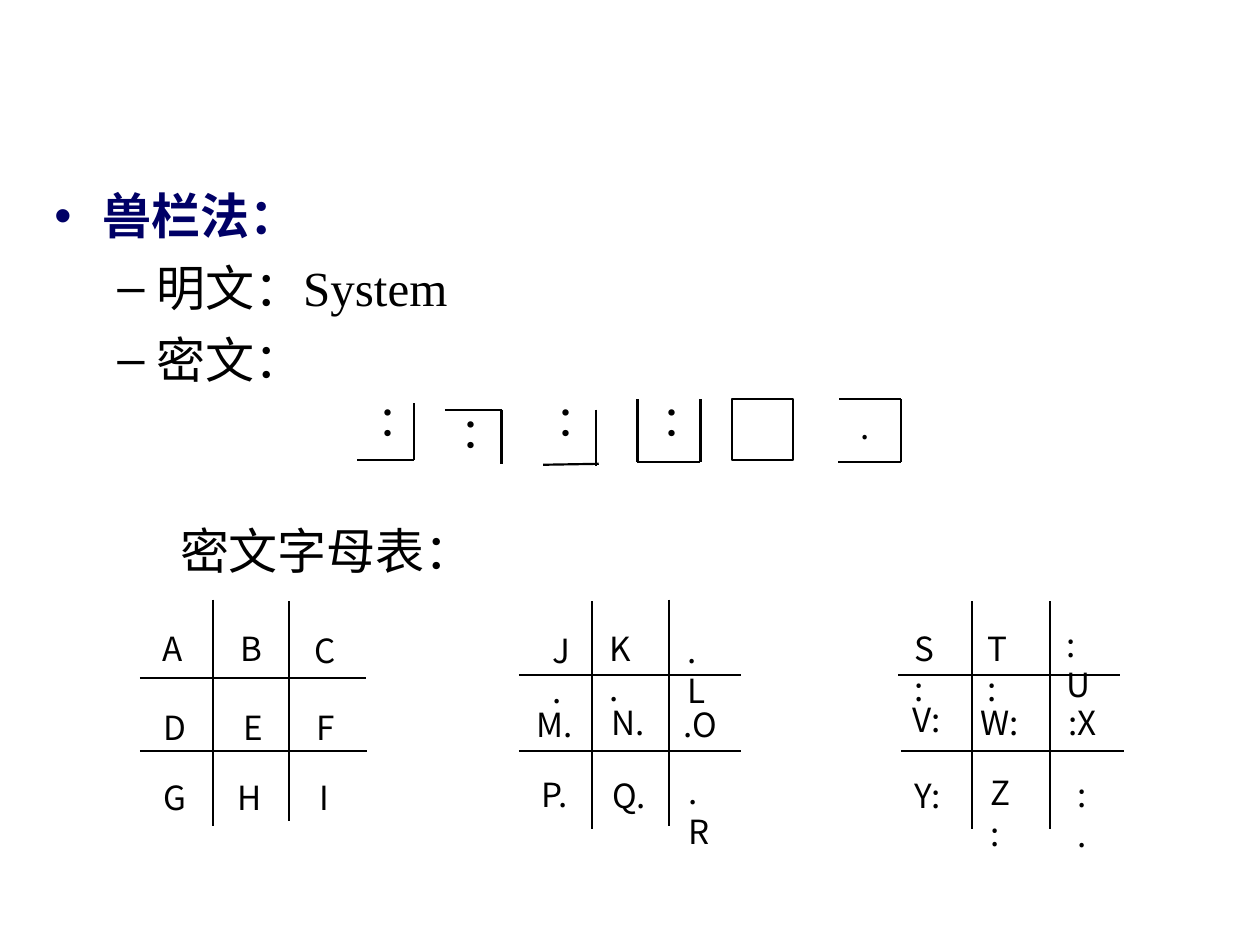
from itertools import pairwise

from lxml.etree import SubElement
from pptx import Presentation
from pptx.dml.color import RGBColor
from pptx.enum.shapes import MSO_CONNECTOR, MSO_SHAPE
from pptx.enum.text import MSO_AUTO_SIZE
from pptx.oxml.ns import qn
from pptx.util import Cm, Pt

COLORS = {"ink": "000000", "heading": "000066"}
SERIF, SANS = "Times New Roman", "Noto Sans CJK SC"
LINE_HEIGHT = 1.21

OUTLINE = [
    ("兽栏法：", 0, "heading", True, 0.97, 0),
    ("明文：System", 1, "ink", False, 2.06, 7),
    ("密文：", 1, "ink", False, 2.06, 7),
]
OUTLINE_INDENTS = (-0.97, -0.79)

PENS = [
    {
        "rows": [(2.82, 7.37, 13.67), (2.82, 7.39, 15.14)],
        "columns": [(4.29, 12.09, 16.66), (5.82, 12.12, 16.56)],
        "letters": [
            ("A", 3.28, 12.65, 0.43), ("B", 4.85, 12.65, 0.43), ("C", 6.35, 12.7, 0.43),
            ("D", 3.3, 14.25, 0.48), ("E", 4.9, 14.25, 0.38), ("F", 6.38, 14.25, 0.36),
            ("G", 3.3, 15.67, 0.48), ("H", 4.78, 15.67, 0.51), ("I", 6.45, 15.67, 0.23),
        ],
    },
    {
        "rows": [(10.46, 14.94, 13.61), (10.46, 14.94, 15.14)],
        "columns": [(11.94, 12.12, 16.71), (13.49, 12.09, 16.66)],
        "letters": [
            ("J.", 11.13, 12.7, 0.36), ("K.", 12.29, 12.65, 0.58), (".L", 13.87, 12.7, 0.53),
            ("M.", 10.82, 14.2, 0.79), ("N.", 12.32, 14.15, 0.69), (".O", 13.77, 14.2, 0.71),
            ("P.", 10.92, 15.6, 0.58), ("Q.", 12.34, 15.62, 0.71), (".R", 13.89, 15.54, 0.58),
        ],
    },
    {
        "rows": [(18.11, 22.58, 13.61), (18.16, 22.66, 15.14)],
        "columns": [(19.6, 12.12, 16.71), (21.17, 12.12, 16.71)],
        "letters": [
            ("S:", 18.44, 12.65, 0.56), ("T:", 19.91, 12.65, 0.56), (":U", 21.51, 12.57, 0.66),
            ("V:", 18.39, 14.1, 0.58), ("W:", 19.76, 14.15, 0.81), (":X", 21.54, 14.15, 0.58),
            ("Y:", 18.44, 15.62, 0.56), ("Z:", 19.96, 15.57, 0.56), (":.", 21.72, 15.6, 0.36),
        ],
    },
]
STACKED_LETTERS = {"J.", "K.", ".L", ".R", "S:", "T:", "Z:", ":."}

CIPHER_STROKES = [
    [(8.34, 8.13), (8.34, 9.27), (7.19, 9.27)],
    [(8.97, 8.26), (10.11, 8.26), (10.11, 9.35)],
    [(12.01, 8.26), (12.01, 9.4)],
    [(12.07, 9.35), (10.95, 9.37)],
    [(12.85, 8.05), (12.85, 9.32), (14.12, 9.32), (14.12, 8.05)],
    [(16.92, 8.05), (18.16, 8.05), (18.16, 9.32), (16.89, 9.32)],
]
CIPHER_SQUARE = (14.76, 8.05, 1.22, 1.22)
LABELS = [
    ("：", 7.37, 7.82, 0.84, 1.27, 24, SERIF),
    ("：", 9.04, 8.05, 0.84, 1.27, 24, SERIF),
    ("：", 10.95, 7.82, 0.84, 1.27, 24, SERIF),
    ("：", 13.08, 7.82, 0.84, 1.27, 24, SERIF),
    (".", 17.09, 8.05, 0.84, 1.07, 19, SANS),
    ("密文字母表：", 3.38, 10.36, 6.55, 1.45, 28, SERIF),
]


def rgb(color):
    return RGBColor.from_string(COLORS[color])


def apply(target, values):
    for name, value in values.items():
        setattr(target, name, value)


def write(paragraph, text, size, face, color="ink", bold=False):
    run = paragraph.add_run()
    run.text = text
    run.font.color.rgb = rgb(color)
    apply(run.font, {"size": Pt(size), "name": face, "bold": bold})
    SubElement(run.font._element, qn("a:ea")).set("typeface", SANS)
    paragraph.line_spacing = Pt(round(size * LINE_HEIGHT, 1))


def add_label(slide, text, box, size, face, insets=(0.25, 0.13), wrap=True):
    frame = slide.shapes.add_textbox(*map(Cm, box)).text_frame
    side, end = map(Cm, insets)
    apply(frame, {
        "margin_left": side, "margin_right": side, "margin_top": end, "margin_bottom": end,
        "word_wrap": wrap, "auto_size": MSO_AUTO_SIZE.SHAPE_TO_FIT_TEXT,
    })
    write(frame.paragraphs[0], text, size, face)


def add_stroke(slide, points):
    for start, end in pairwise(points):
        stroke = slide.shapes.add_connector(MSO_CONNECTOR.STRAIGHT, *map(Cm, start + end))
        stroke.line.color.rgb = rgb("ink")
        stroke.line.width = Pt(1.25)
        SubElement(stroke._element.spPr, qn("a:effectLst"))


def add_outline(slide):
    body = slide.placeholders[1]
    apply(body, {"left": Cm(0.84), "top": Cm(3.61), "width": Cm(23.7), "height": Cm(14.6)})
    frame = body.text_frame
    frame.auto_size = MSO_AUTO_SIZE.NONE
    for index, (text, level, color, bold, margin, before) in enumerate(OUTLINE):
        paragraph = frame.add_paragraph() if index else frame.paragraphs[0]
        apply(paragraph, {"level": level, "space_before": Pt(before)})
        properties = paragraph._p.get_or_add_pPr()
        properties.set("marL", str(Cm(margin)))
        properties.set("indent", str(Cm(OUTLINE_INDENTS[level])))
        write(paragraph, text, 28, SERIF, color, bold)


def add_pen(slide, pen):
    for left, right, y in pen["rows"]:
        add_stroke(slide, [(left, y), (right, y)])
    for x, top, bottom in pen["columns"]:
        add_stroke(slide, [(x, top), (x, bottom)])
    for text, x, y, width in pen["letters"]:
        add_label(slide, text, (x, y, width, 0.81), 19, SANS, (0, 0), text in STACKED_LETTERS)


def main():
    """Build the pigpen cipher slide."""
    deck = Presentation()
    apply(deck, {"slide_width": Cm(25.4), "slide_height": Cm(19.05)})
    slide = deck.slides.add_slide(deck.slide_layouts[1])
    title = slide.shapes.title._element
    title.getparent().remove(title)

    add_outline(slide)
    for pen in PENS:
        add_pen(slide, pen)
    for points in CIPHER_STROKES:
        add_stroke(slide, points)
    square = slide.shapes.add_shape(MSO_SHAPE.RECTANGLE, *map(Cm, CIPHER_SQUARE))
    square.shadow.inherit = False
    square.fill.background()
    square.line.color.rgb = rgb("ink")
    square.line.width = Pt(1.25)
    for text, *box, size, face in LABELS:
        add_label(slide, text, box, size, face)
    deck.save("out.pptx")


if __name__ == "__main__":
    main()
